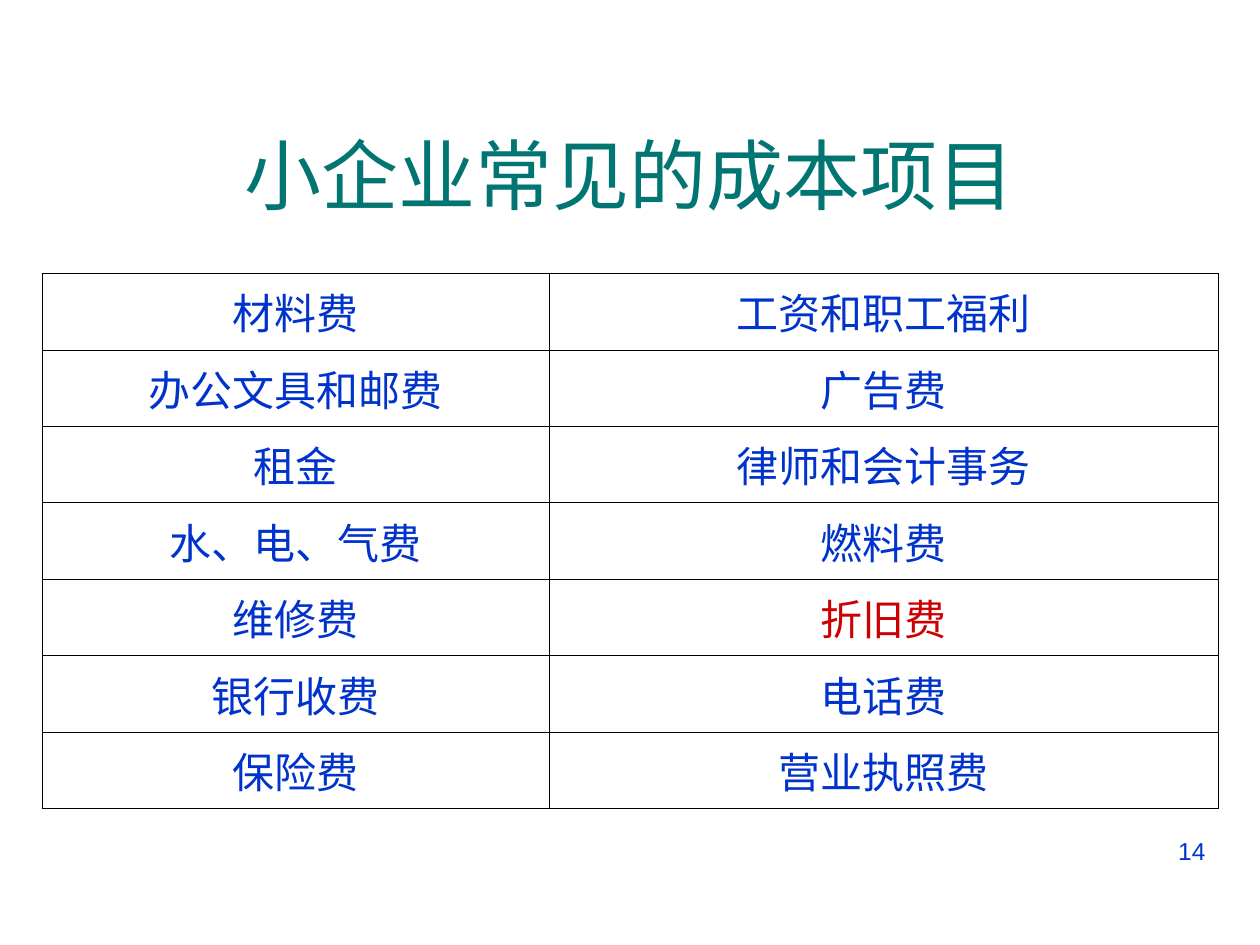
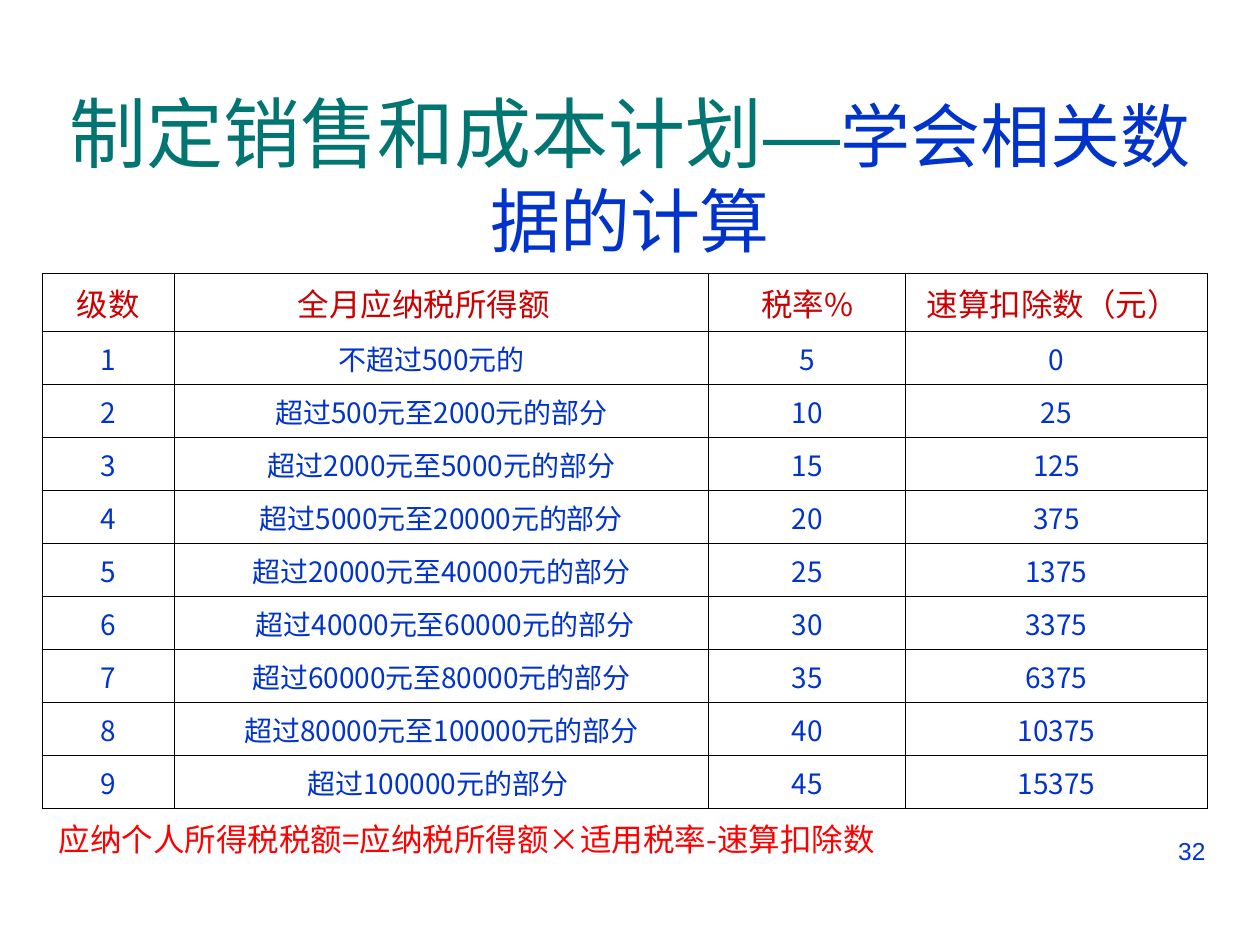
from pptx import Presentation
from pptx.dml.color import RGBColor
from pptx.enum.text import MSO_ANCHOR as Anchor, PP_ALIGN as Align
from pptx.oxml.ns import qn
from pptx.util import Pt
from lxml.etree import SubElement

COLORS = {
    "title": "007572",
    "body": "0033CC",
    "accent": "CC0000",
    "formula": "FF0000",
    "border": "000000",
}
LATIN, CJK = "Arial", "Noto Sans CJK SC"
MARGIN_X, MARGIN_Y = 7.2, 3.6

# Boxes: left, top, width, height
TITLE_BOX = (24, 54, 672, 90)
COST_BOX = (24, 156.25, 672, 305.9)
TAX_BOX = (24, 156.25, 666, 339.5)
NUMBER_BOX = (516, 474, 180, 37.5)

COSTS = [
    ("材料费", "工资和职工福利"),
    ("办公文具和邮费", "广告费"),
    ("租金", "律师和会计事务"),
    ("水、电、气费", "燃料费"),
    ("维修费", "折旧费"),
    ("银行收费", "电话费"),
    ("保险费", "营业执照费"),
]
HIGHLIGHTED_COST = "折旧费"

TAX_HEADINGS = ("级数", "全月应纳税所得额", "税率%", "速算扣除数（元）")
TAX_RANGES = [
    ("不超过500元的", 0),
    ("超过500元至2000元的部分", 25),
    ("超过2000元至5000元的部分", 125),
    ("超过5000元至20000元的部分", 375),
    ("超过20000元至40000元的部分", 1375),
    ("超过40000元至60000元的部分", 3375),
    ("超过60000元至80000元的部分", 6375),
    ("超过80000元至100000元的部分", 10375),
    ("超过100000元的部分", 15375),
]
TAX_FORMULA = "应纳个人所得税税额=应纳税所得额×适用税率-速算扣除数"
# Sideways nudges of centred cells, by (row, column)
TAX_SHIFTS = {(0, 1): -10.2, (0, 3): -2.2, (1, 1): -5.7, (6, 1): 2, (9, 1): -2}


def style_run(run, size, color, font=CJK):
    run.font.size = Pt(size)
    run.font.name = font
    run.font.color.rgb = RGBColor.from_string(COLORS[color])
    SubElement(run._r.get_or_add_rPr(), qn("a:ea")).set("typeface", font)


def set_borders(cell, edges="LRTB"):
    """Draw the named edges of a cell and hide the others."""
    props = cell._tc.get_or_add_tcPr()
    for edge in "LRTB":
        line = SubElement(props, qn(f"a:ln{edge}"), w=str(Pt(0.45)))
        if edge in edges:
            fill = SubElement(line, qn("a:solidFill"))
            SubElement(fill, qn("a:srgbClr"), val=COLORS["border"])
        else:
            SubElement(line, qn("a:noFill"))


def fill_cell(cell, text, size, color, align=Align.CENTER, shift=0, edges="LRTB"):
    set_borders(cell, edges)
    cell.fill.background()
    cell.vertical_anchor = Anchor.MIDDLE
    cell.margin_left = Pt(MARGIN_X + max(2 * shift, 0))
    cell.margin_right = Pt(MARGIN_X + max(-2 * shift, 0))
    cell.margin_top = cell.margin_bottom = Pt(MARGIN_Y)
    paragraph = cell.text_frame.paragraphs[0]
    paragraph.text = text
    paragraph.alignment = align
    if text:
        style_run(paragraph.runs[0], size, color)


def add_grid(slide, box, widths, heights):
    """Add a table without banding, with the given column and row sizes."""
    frame = slide.shapes.add_table(len(heights), len(widths), *map(Pt, box))
    grid = frame.table
    grid.first_row = grid.horz_banding = False
    for column, width in zip(grid.columns, widths):
        column.width = Pt(width)
    for row, height in zip(grid.rows, heights):
        row.height = Pt(height)
    return grid


def add_title(slide, box, parts):
    """Fill the title with (text, size, color) parts."""
    title = slide.shapes.title
    title.left, title.top, title.width, title.height = map(Pt, box)
    frame = title.text_frame
    frame.word_wrap = True
    frame.vertical_anchor = Anchor.MIDDLE
    paragraph = frame.paragraphs[0]
    paragraph.alignment = Align.CENTER
    for text, size, color in parts:
        run = paragraph.add_run()
        run.text = text
        style_run(run, size, color, LATIN)


def add_page_number(slide, box, number):
    frame = slide.shapes.add_textbox(*map(Pt, box)).text_frame
    frame.word_wrap = True
    frame.text = str(number)
    paragraph = frame.paragraphs[0]
    paragraph.alignment = Align.RIGHT
    style_run(paragraph.runs[0], 14, "body", LATIN)


def add_cost_table(slide, box):
    row_height = box[3] / len(COSTS)
    grid = add_grid(slide, box, (290, 382), [row_height] * len(COSTS))
    for r, pair in enumerate(COSTS):
        for c, cost in enumerate(pair):
            color = "accent" if cost == HIGHLIGHTED_COST else "body"
            fill_cell(grid.cell(r, c), cost, 24, color)


def add_tax_table(slide, box):
    # Each level adds five points to the rate
    levels = [
        (level, income, 5 * level, deduction)
        for level, (income, deduction) in enumerate(TAX_RANGES, 1)
    ]
    heights = [33.2] + [30.3] * len(levels) + [33.6]
    grid = add_grid(slide, box, (75.5, 305.5, 112.5, 172.5), heights)
    for r, values in enumerate([TAX_HEADINGS, *levels]):
        size, color = (16, "body") if r else (18, "accent")
        for c, value in enumerate(values):
            shift = TAX_SHIFTS.get((r, c), 0)
            fill_cell(grid.cell(r, c), str(value), size, color, shift=shift)

    # Formula across the last row, ruled only above
    last = len(heights) - 1
    for c in range(len(TAX_HEADINGS)):
        text = "" if c else TAX_FORMULA
        fill_cell(grid.cell(last, c), text, 18, "formula", Align.LEFT, 1.2, "T")
    grid.cell(last, 0).merge(grid.cell(last, len(TAX_HEADINGS) - 1))


def add_table_slide(deck, title_parts, add_table, table_box, number):
    slide = deck.slides.add_slide(deck.slide_layouts[5])
    add_title(slide, TITLE_BOX, title_parts)
    add_table(slide, table_box)
    add_page_number(slide, NUMBER_BOX, number)


def main():
    deck = Presentation()
    deck.slide_width, deck.slide_height = Pt(720), Pt(540)
    add_table_slide(
        deck, [("小企业常见的成本项目", 44, "title")], add_cost_table, COST_BOX, 14
    )
    add_table_slide(
        deck,
        [("制定销售和成本计划—", 44, "title"), ("学会相关数据的计算", 40, "body")],
        add_tax_table,
        TAX_BOX,
        32,
    )
    deck.save("out.pptx")


if __name__ == "__main__":
    main()
